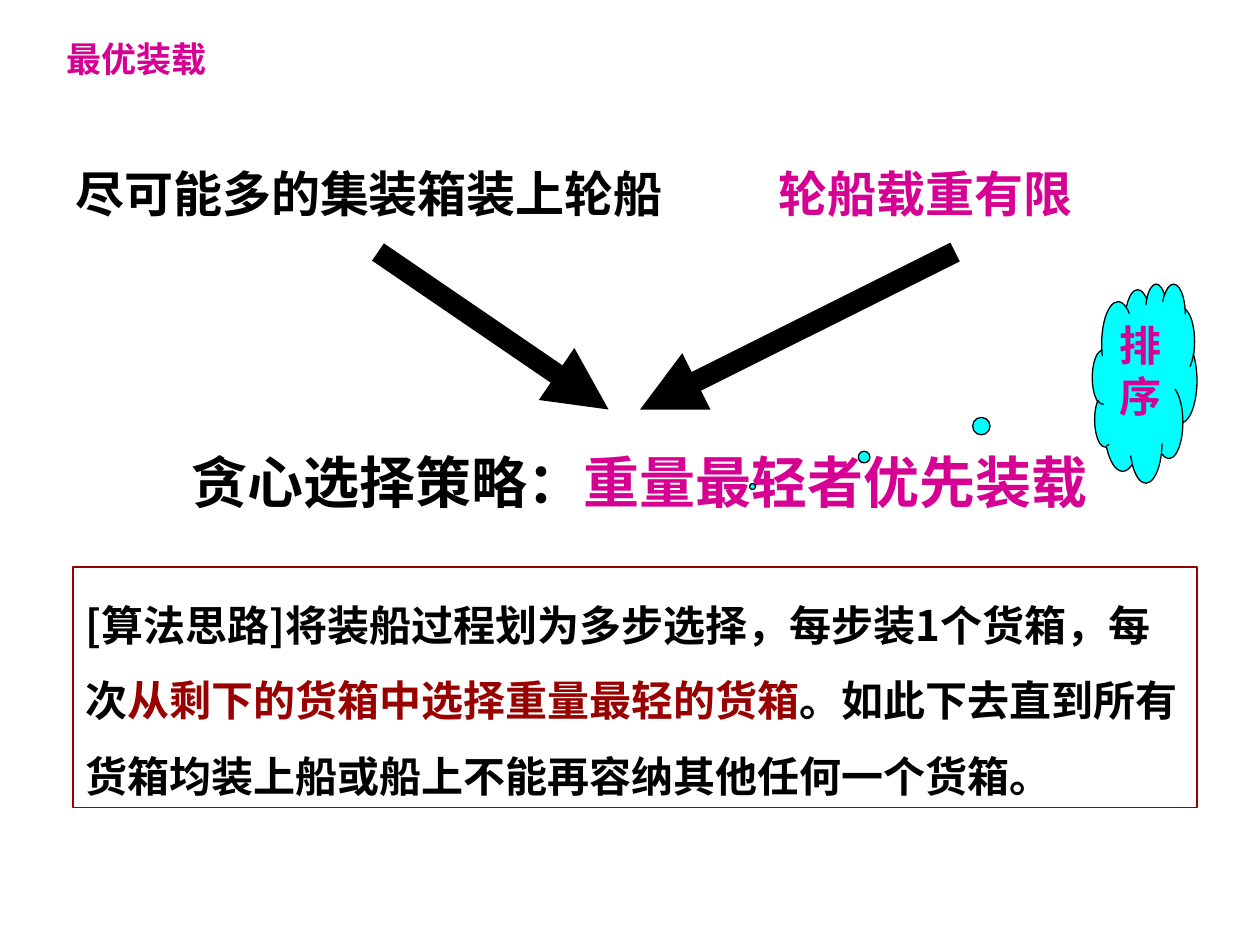
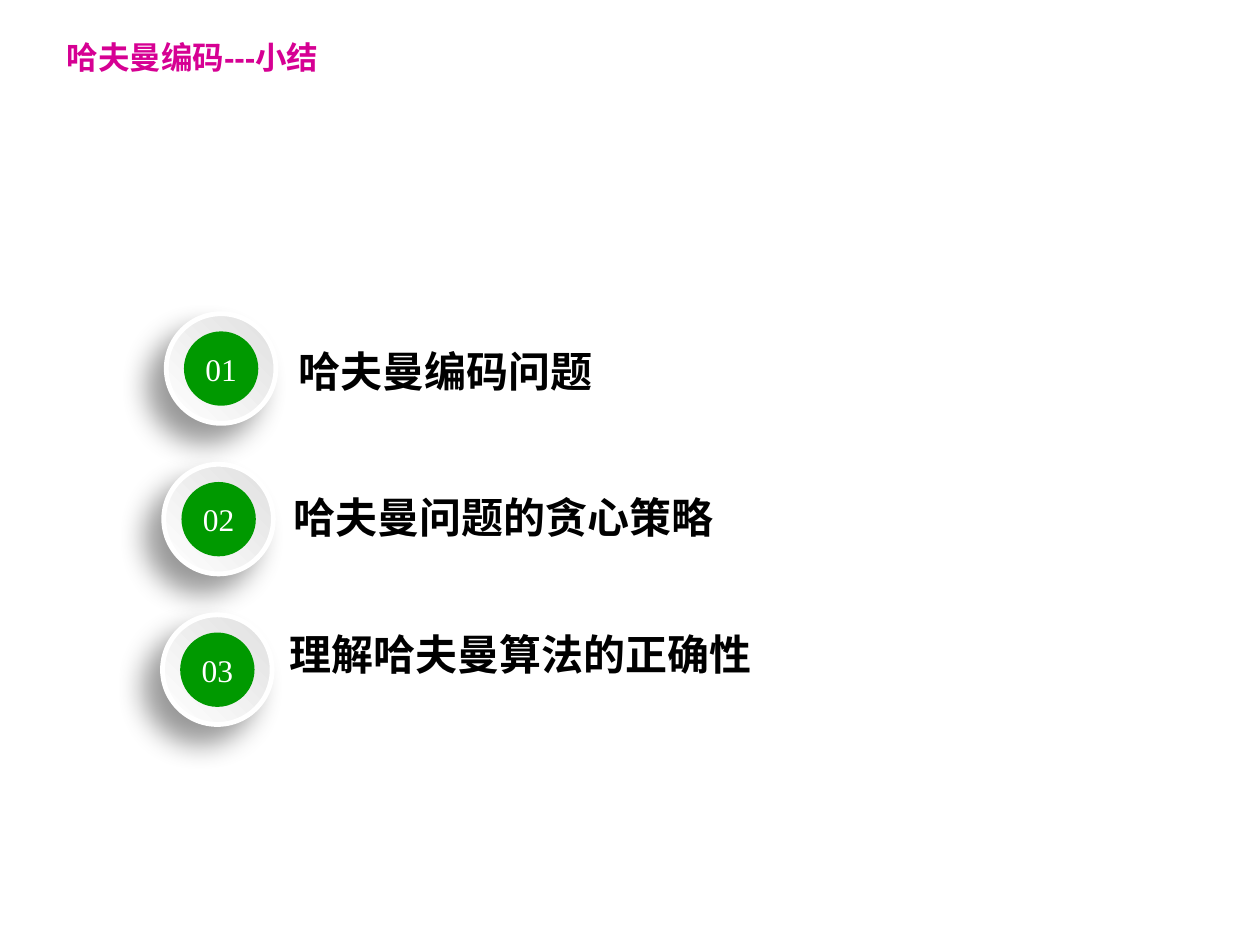
from lxml.etree import SubElement
from pptx import Presentation
from pptx.dml.color import RGBColor
from pptx.enum.shapes import MSO_CONNECTOR as Connector, MSO_SHAPE as Shape
from pptx.enum.text import MSO_ANCHOR as Anchor, PP_ALIGN as Align
from pptx.oxml.ns import qn
from pptx.util import Emu, Inches, Pt

COLORS = {
    "magenta": "D60093", "black": "000000", "red": "990000", "cyan": "00FFFF",
    "green": "009900", "white": "FFFFFF", "grey": "E0E0E0",
}
SANS, CJK, SERIF = "Arial", "Noto Sans CJK SC", "Times New Roman"
TITLE_LEFT, TITLE_TOP = 0.43, 0.25

LOADING_TITLE = ("最优装载", 20, CJK, 1.82, 0.43)
HUFFMAN_TITLE = ("哈夫曼编码---小结", 18, SANS, 3.24, 0.4)
STATEMENTS = [
    ((0.5, 1.25, 4.89, 0.57), 28, [("尽可能多的集装箱装上轮船", "black")]),
    ((6.08, 1.25, 2.55, 0.57), 28, [("轮船载重有限", "magenta")]),
    ((1.42, 3.5, 7.34, 0.63), 32,
     [("贪心选择策略：", "black"), ("重量最轻者优先装载", "magenta")]),
]
ARROWS = [((3, 2), (4.83, 3.25)), ((7.58, 2), (5.08, 3.25))]
IDEA = [
    ("[算法思路]将装船过程划为多步选择，每步装1个货箱，每次", "black"),
    ("从剩下的货箱中选择重量最轻的货箱", "red"),
    ("。如此下去直到所有货箱均装上船或船上不能再容纳其他任何一个货箱。", "black"),
]
SUMMARY = [
    ("哈夫曼编码问题", 1.32, (2.24, 2.66, 4.21, 0.59)),
    ("哈夫曼问题的贪心策略", 1.3, (2.2, 3.82, 5.19, 0.59)),
    ("理解哈夫曼算法的正确性", 1.29, (2.17, 4.91, 6.7, 0.59)),
]
BADGE_TOP, BADGE_STEP, RING, DISC = 2.49, 1.195, 0.87, 0.59


def rgb(name):
    return RGBColor.from_string(COLORS[name])


def write(shape, runs, size, font, bold=True, wrap=True, align=Align.LEFT,
          anchor=Anchor.TOP, spacing=None, side=0.1, edge=0.05):
    frame = shape.text_frame
    frame.word_wrap, frame.vertical_anchor = wrap, anchor
    frame.margin_left = frame.margin_right = Inches(side)
    frame.margin_top = frame.margin_bottom = Inches(edge)
    paragraph = frame.paragraphs[0]
    paragraph.alignment = align
    if spacing:
        paragraph.line_spacing = spacing
    for text, color in runs:
        run = paragraph.add_run()
        run.text = text
        run.font.size, run.font.name, run.font.bold = Pt(size), font, bold
        run.font.color.rgb = rgb(color)
        SubElement(run.font._element, qn("a:ea"), typeface=CJK)


def add_text(slide, box, runs, size, font, **options):
    write(slide.shapes.add_textbox(*map(Inches, box)), runs, size, font, **options)


def add_shape(slide, kind, box, fill=None, line=None, width=1):
    shape = slide.shapes.add_shape(kind, *map(Inches, box))
    shape.shadow.inherit = False
    if fill:
        shape.fill.solid()
        shape.fill.fore_color.rgb = rgb(fill)
    else:
        shape.fill.background()
    if line:
        shape.line.color.rgb = rgb(line)
        shape.line.width = Pt(width)
    else:
        shape.line.fill.background()
    return shape


def add_arrow(slide, start, end):
    arrow = slide.shapes.add_connector(Connector.STRAIGHT, *map(Inches, start + end))
    arrow.line.color.rgb = rgb("black")
    arrow.line.width = Pt(12)
    SubElement(arrow.line._get_or_add_ln(), qn("a:tailEnd"), type="triangle")
    SubElement(arrow._element.spPr, qn("a:effectLst"))


def add_badge(slide, left, top, number):
    ring = add_shape(slide, Shape.OVAL, (left, top, RING, RING), "white", "white", 2.75)
    ring.fill.gradient()
    ring.fill.gradient_angle = 225
    for stop, color, position in zip(ring.fill.gradient_stops, ("grey", "white"), (0, 1)):
        stop.color.rgb = rgb(color)
        stop.position = position
    effects = ring._element.spPr.find(qn("a:effectLst"))
    shadow = SubElement(effects, qn("a:outerShdw"), blurRad=str(Pt(16)), dist=str(Pt(14)),
                        dir="8100000", algn="tr", rotWithShape="0")
    color = SubElement(shadow, qn("a:srgbClr"), val=COLORS["black"])
    SubElement(color, qn("a:alpha"), val="40000")
    inset = (RING - DISC) / 2
    disc = add_shape(slide, Shape.OVAL, (left + inset, top + inset, DISC, DISC), "green")
    write(disc, [(f"{number:02}", "white")], 18, SERIF, bold=False, align=Align.CENTER,
          anchor=Anchor.MIDDLE, side=0, edge=0)


def add_slide(presentation, title):
    slide = presentation.slides.add_slide(presentation.slide_layouts[6])
    text, size, font, width, height = title
    add_text(slide, (TITLE_LEFT, TITLE_TOP, width, height), [(text, "magenta")], size, font)
    return slide


def build_loading(presentation):
    slide = add_slide(presentation, LOADING_TITLE)
    for box, size, runs in STATEMENTS:
        add_text(slide, box, runs, size, SANS, wrap=False)
    for start, end in ARROWS:
        add_arrow(slide, start, end)
    cloud = add_shape(slide, Shape.CLOUD_CALLOUT, (8.67, 2.25, 0.83, 1.58),
                      "cyan", "black", 0.75)
    cloud.adjustments[0], cloud.adjustments[1] = -3.75, 0.52
    write(cloud, [("排序", "magenta")], 24, SANS, align=Align.CENTER)
    panel = add_shape(slide, Shape.RECTANGLE, (0.58, 4.5, 8.92, 1.91), line="red")
    write(panel, IDEA, 24, CJK, anchor=Anchor.MIDDLE, spacing=1.5)


def build_summary(presentation):
    slide = add_slide(presentation, HUFFMAN_TITLE)
    for index, (text, badge_left, box) in enumerate(SUMMARY):
        add_badge(slide, badge_left, BADGE_TOP + index * BADGE_STEP, index + 1)
        add_text(slide, box, [(text, "black")], 24, CJK, spacing=1.2, side=0.13, edge=0)


def main():
    """Build the optimal loading slide and the Huffman summary slide."""
    presentation = Presentation()
    presentation.slide_width, presentation.slide_height = Inches(10), Inches(7.5)
    build_loading(presentation)
    build_summary(presentation)
    presentation.save("out.pptx")


if __name__ == "__main__":
    main()
